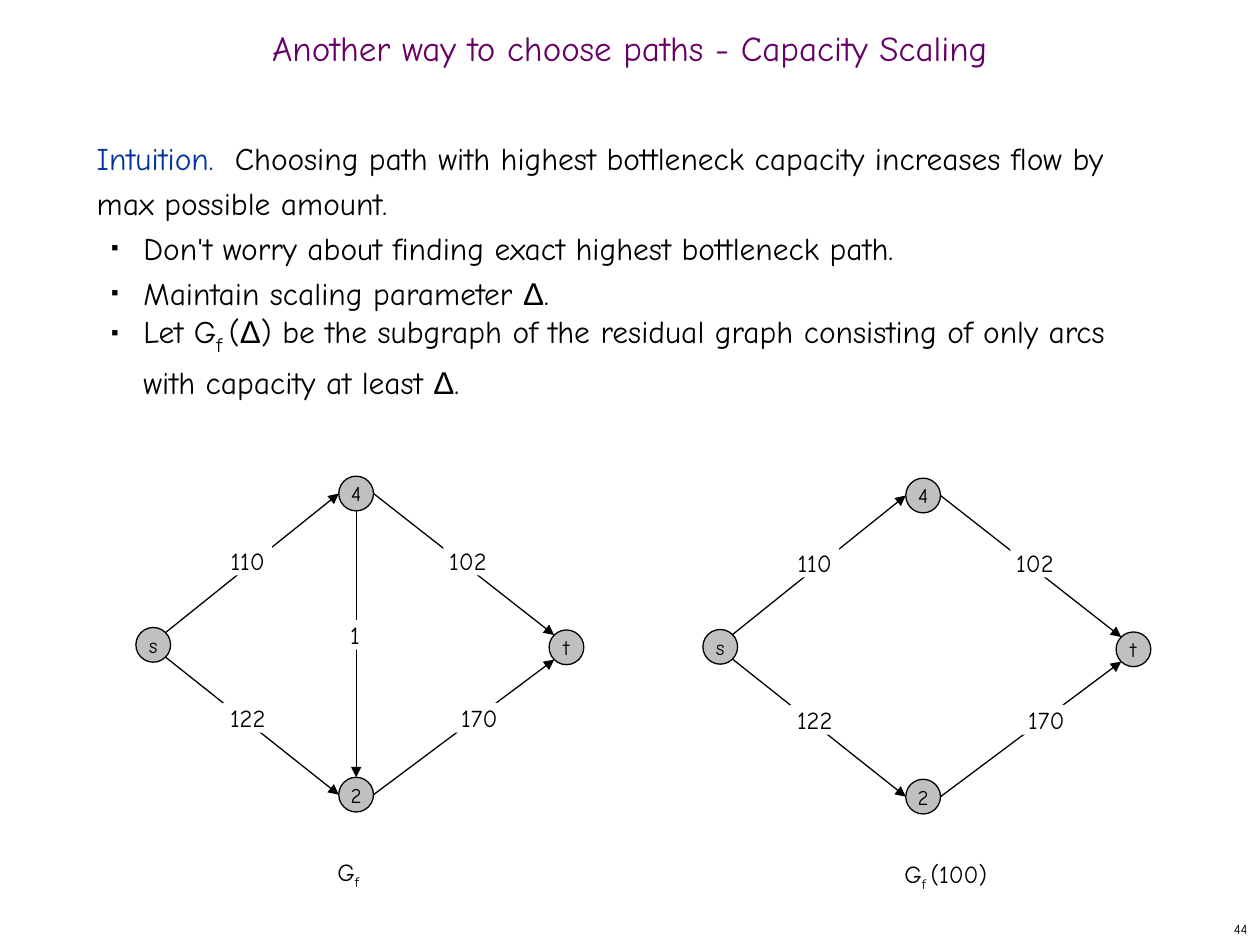
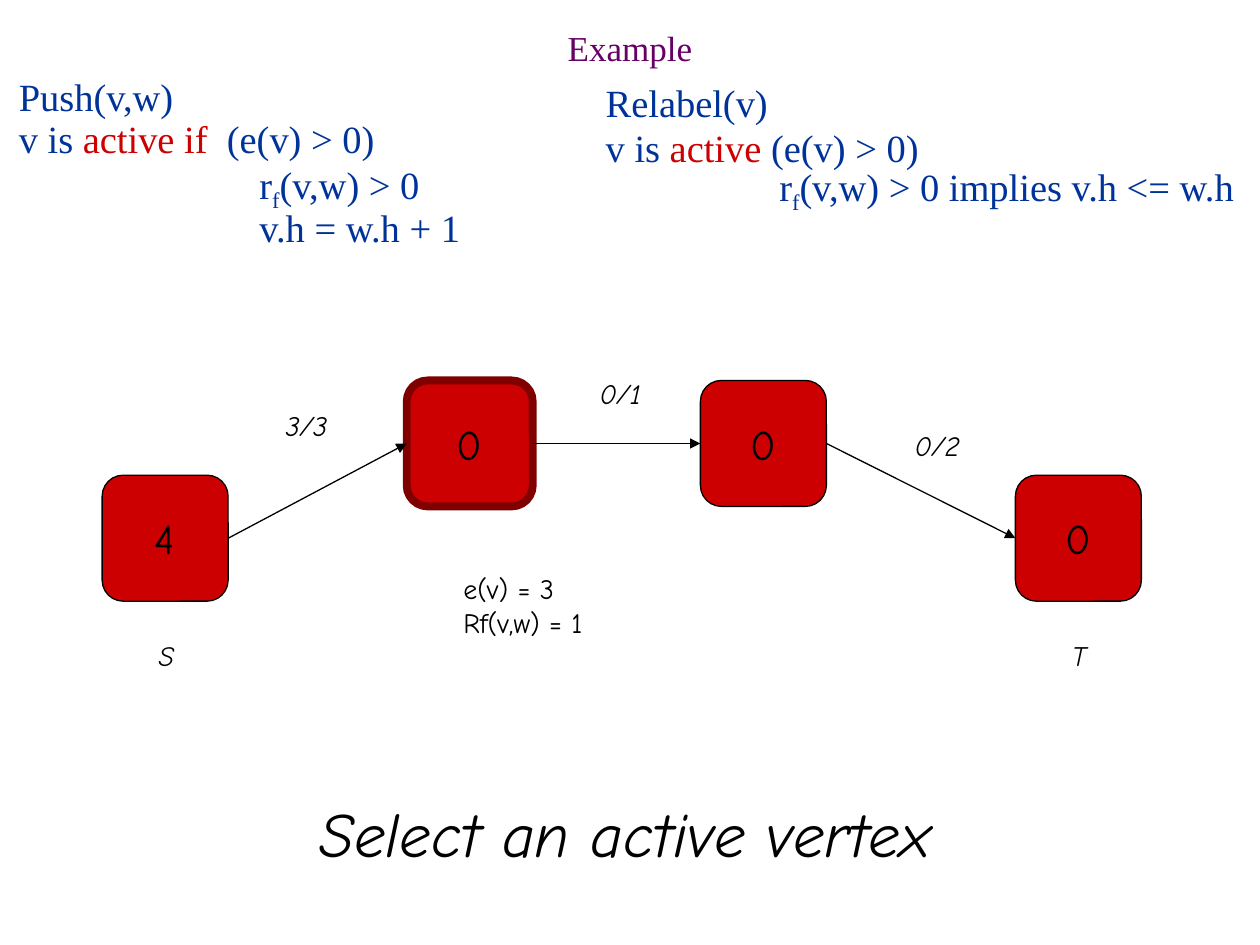
from math import cos, radians, sin

from lxml import etree
from pptx import Presentation
from pptx.dml.color import RGBColor
from pptx.enum.shapes import MSO_CONNECTOR, MSO_SHAPE
from pptx.enum.text import MSO_ANCHOR, MSO_AUTO_SIZE, PP_ALIGN
from pptx.oxml.ns import qn
from pptx.util import Cm, Pt

LEFT, CENTER, RIGHT = PP_ALIGN.LEFT, PP_ALIGN.CENTER, PP_ALIGN.RIGHT
TOP, MIDDLE = MSO_ANCHOR.TOP, MSO_ANCHOR.MIDDLE
OVAL, RECT = MSO_SHAPE.OVAL, MSO_SHAPE.RECTANGLE
ROUNDED = MSO_SHAPE.ROUNDED_RECTANGLE
STRAIGHT = MSO_CONNECTOR.STRAIGHT

COLORS = {
    "text": "000000", "title": "660066", "term": "003399", "active": "CC0000",
    "selected": "800000", "node": "C0C0C0", "paper": "FFFFFF",
}
COMIC, TIMES, ARIAL = "Comic Neue", "Times New Roman", "Arial"
THIN, THICK = 0.74, 4.5
LINE_PITCH = Pt(25.6)

SUB = {"baseline": -25000}
DELTA = ("Δ", {"font": ARIAL})

# Capacity graph, in cm: node centres, edges with their angles, edge labels
NODE_RADIUS = 0.35
NODES = {"s": (3.09, 13), "4": (7.18, 9.95), "2": (7.18, 16.02), "t": (11.42, 13.05)}
EDGES = [
    ("s", -45, "4", 180), ("s", 45, "2", 180), ("4", 0, "t", 225), ("2", 0, "t", 135),
]
MIDDLE_EDGE = ("4", 90, "2", 270)
CAPACITIES = [
    ("110", 4.5, 11), ("102", 8.94, 11), ("122", 4.5, 14.17), ("170", 9.17, 14.17),
]
MIDDLE_CAPACITY = ("1", 6.66, 12.5)

# Push-relabel chain: height, left, top, outline colour, outline width
VERTEX_SIZE = 2.54
VERTICES = [
    ("4", 2.06, 9.58, "text", THIN),
    ("0", 8.2, 7.67, "selected", THICK),
    ("0", 14.12, 7.67, "text", THIN),
    ("0", 20.47, 9.58, "text", THIN),
]
CHAIN_LABELS = [
    ("3/3", 5.51, 8.1, 1.35), ("0/1", 11.84, 7.47, 1.35), ("0/2", 18.19, 8.51, 1.42),
    ("S", 2.95, 12.75, 0.81), ("T", 21.36, 12.75, 0.79),
]


def rgb(name):
    return RGBColor.from_string(COLORS[name])


def add_line(frame, runs, size=18, font=COMIC, color="text", italic=False,
             align=LEFT, spacing=1.0, margin=0, indent=0, bullet=None):
    """Add a paragraph; runs is a string or a list of (text, overrides)."""
    first = frame.paragraphs[0]
    line = frame.add_paragraph() if first.runs else first
    line.alignment, line.line_spacing = align, spacing
    line.space_before = line.space_after = Pt(0)
    line.level = 1 if bullet else 0
    props = line._p.get_or_add_pPr()
    props.set("marL", str(Cm(margin)))
    props.set("indent", str(Cm(indent)))
    if bullet:
        bullet_color = etree.SubElement(props, qn("a:buClr"))
        etree.SubElement(bullet_color, qn("a:srgbClr"), val=COLORS["text"])
        etree.SubElement(props, qn("a:buSzPct"), val="35000")
        etree.SubElement(props, qn("a:buFont"), typeface=ARIAL)
        etree.SubElement(props, qn("a:buChar"), char=bullet)
    else:
        etree.SubElement(props, qn("a:buNone"))

    for text, change in [(runs, {})] if isinstance(runs, str) else runs:
        run = line.add_run()
        run.text = text
        run.font.size = Pt(change.get("size", size))
        run.font.name = change.get("font", font)
        run.font.color.rgb = rgb(change.get("color", color))
        run.font.italic = italic
        if "baseline" in change:
            run.font._element.set("baseline", str(change["baseline"]))


def setup_frame(shape, anchor=TOP, wrap=True, inset=(0.25, 0.13)):
    frame = shape.text_frame
    frame.auto_size = MSO_AUTO_SIZE.NONE
    frame.word_wrap, frame.vertical_anchor = wrap, anchor
    frame.margin_left = frame.margin_right = Cm(inset[0])
    frame.margin_top = frame.margin_bottom = Cm(inset[1])
    return frame


def place(holder, left, top, width, height, anchor=TOP):
    holder.left, holder.top = Cm(left), Cm(top)
    holder.width, holder.height = Cm(width), Cm(height)
    return setup_frame(holder, anchor)


def add_box(slide, left, top, width, height, anchor=TOP, wrap=True):
    box = slide.shapes.add_textbox(Cm(left), Cm(top), Cm(width), Cm(height))
    return setup_frame(box, anchor, wrap)


def add_shape(slide, kind, left, top, width, height, fill, outline=None, weight=THIN):
    shape = slide.shapes.add_shape(kind, Cm(left), Cm(top), Cm(width), Cm(height))
    shape.shadow.inherit = False
    shape.fill.solid()
    shape.fill.fore_color.rgb = rgb(fill)
    if outline:
        shape.line.color.rgb = rgb(outline)
        shape.line.width = Pt(weight)
    else:
        shape.line.fill.background()
    return shape


def add_arrow(slide, start=(0, 0), end=(0, 0)):
    ends = [Cm(value) for value in (*start, *end)]
    arrow = slide.shapes.add_connector(STRAIGHT, *ends)
    arrow.line.color.rgb = rgb("text")
    arrow.line.width = Pt(THIN)
    etree.SubElement(arrow.line._get_or_add_ln(), qn("a:tailEnd"), type="triangle")
    etree.SubElement(arrow._element.spPr, qn("a:effectLst"))
    return arrow


def add_slide(deck, layout, title, font):
    slide = deck.slides.add_slide(deck.slide_layouts[layout])
    frame = place(slide.shapes.title, 0, 0.43, 25.4, 1.27, MIDDLE)
    add_line(frame, title, size=20, font=font, color="title", align=CENTER, spacing=0.7)
    return slide


def add_graph(slide, dx, dy, edges, capacities, caption, caption_width):
    def rim(node, angle):
        x, y = NODES[node]
        turn = radians(angle)
        return x + dx + NODE_RADIUS * cos(turn), y + dy + NODE_RADIUS * sin(turn)

    for source, leaving, target, arriving in edges:
        add_arrow(slide, rim(source, leaving), rim(target, arriving))
    for name, (x, y) in NODES.items():
        node = add_shape(slide, OVAL, x + dx - NODE_RADIUS, y + dy - NODE_RADIUS,
                         2 * NODE_RADIUS, 2 * NODE_RADIUS, "node", "text")
        add_line(setup_frame(node, MIDDLE, wrap=False), name, size=12, align=CENTER)
    for capacity, left, top in capacities:
        label = add_shape(slide, RECT, left + dx, top + dy, 0.99, 0.6, "paper")
        add_line(setup_frame(label, wrap=False, inset=(0, 0)), capacity,
                 size=14, align=CENTER)
    add_line(add_box(slide, 6.55 + dx, 17.15 + dy, caption_width, 0.94), caption, size=14)


def build_scaling_slide(deck):
    slide = add_slide(deck, 1, "Another way to choose paths - Capacity Scaling", COMIC)

    # Intuition and its points
    body = place(slide.placeholders[1], 1.7, 2.54, 21.79, 15.04)
    add_line(body, [
        ("Intuition.  ", {"color": "term"}),
        ("Choosing path with highest bottleneck capacity increases flow by "
         "max possible amount.", {}),
    ], spacing=LINE_PITCH)
    points = [
        "Don't worry about finding exact highest bottleneck path.",
        [("Maintain scaling parameter ", {}), DELTA, (".", {})],
        [("Let G", {}), ("f ", {**SUB, "size": 20}), ("(", {}), DELTA,
         (") be the subgraph of the residual graph consisting of only arcs "
          "with capacity at least ", {}), DELTA, (".", {})],
    ]
    for point in points:
        add_line(body, point, spacing=LINE_PITCH, margin=0.94, indent=-0.64, bullet="■")

    # Full residual graph, then the part with capacity of at least 100
    add_graph(slide, 0, 0, EDGES + [MIDDLE_EDGE], CAPACITIES + [MIDDLE_CAPACITY],
              [("G", {}), ("f", SUB)], 1.7)
    add_graph(slide, 11.43, 0.04, EDGES, CAPACITIES,
              [("G", {}), ("f ", SUB), ("(100)", {})], 3.18)

    page_number = add_box(slide, 20.12, 18.42, 5.28, 0.63, MIDDLE)
    add_line(page_number, "44", size=8, align=RIGHT)


def build_example_slide(deck):
    slide = add_slide(deck, 3, "Example", TIMES)
    rule_style = {"size": 22, "font": TIMES, "color": "term"}

    # Conditions of the two operations: text and left margin
    push = place(slide.placeholders[1], 0.13, 1.45, 10.82, 3.89)
    push_lines = [
        ("Push(v,w)", 0),
        ([("v is ", {}), ("active if ", {"color": "active"}), (" (e(v) > 0)", {})], 0),
        ([("r", {}), ("f", SUB), ("(v,w) > 0", {})], 4.85),
        ("v.h = w.h + 1", 4.85),
    ]
    for text, margin in push_lines:
        add_line(push, text, margin=margin, spacing=0.9, **rule_style)

    relabel = place(slide.placeholders[2], 11.96, 1.5, 13.44, 5.11)
    relabel_lines = [
        ("Relabel(v)", 0),
        ([("v is ", {}), ("active", {"color": "active"}), (" (e(v) > 0)", {})], 0),
        ([("r", {}), ("f", SUB), ("(v,w) > 0 implies v.h <= w.h", {})], 3.5),
    ]
    for text, margin in relabel_lines:
        add_line(relabel, text, margin=margin, spacing=LINE_PITCH, **rule_style)

    # Chain of vertices joined from right side to left side
    chain = []
    for height, left, top, outline, weight in VERTICES:
        vertex = add_shape(slide, ROUNDED, left, top, VERTEX_SIZE, VERTEX_SIZE,
                           "active", outline, weight)
        add_line(setup_frame(vertex, MIDDLE, wrap=False), height, size=24, align=CENTER)
        chain.append(vertex)
    for source, target in zip(chain, chain[1:]):
        arrow = add_arrow(slide)
        arrow.begin_connect(source, 3)
        arrow.end_connect(target, 1)

    for text, left, top, width in CHAIN_LABELS:
        label = add_box(slide, left, top, width, 0.94, wrap=False)
        add_line(label, text, size=16, italic=True)

    # State of the selected vertex and the step
    state = add_box(slide, 9.09, 11.4, 2.9, 1.63, wrap=False)
    for text in ("e(v) = 3", "Rf(v,w) = 1"):
        add_line(state, text, size=16)
    step = add_box(slide, 2.54, 15.88, 20.12, 1.78)
    add_line(step, "Select an active vertex", size=36, italic=True, align=CENTER)


def main():
    deck = Presentation()
    deck.slide_width, deck.slide_height = Cm(25.4), Cm(19.05)
    build_scaling_slide(deck)
    build_example_slide(deck)
    deck.save("out.pptx")


main()
